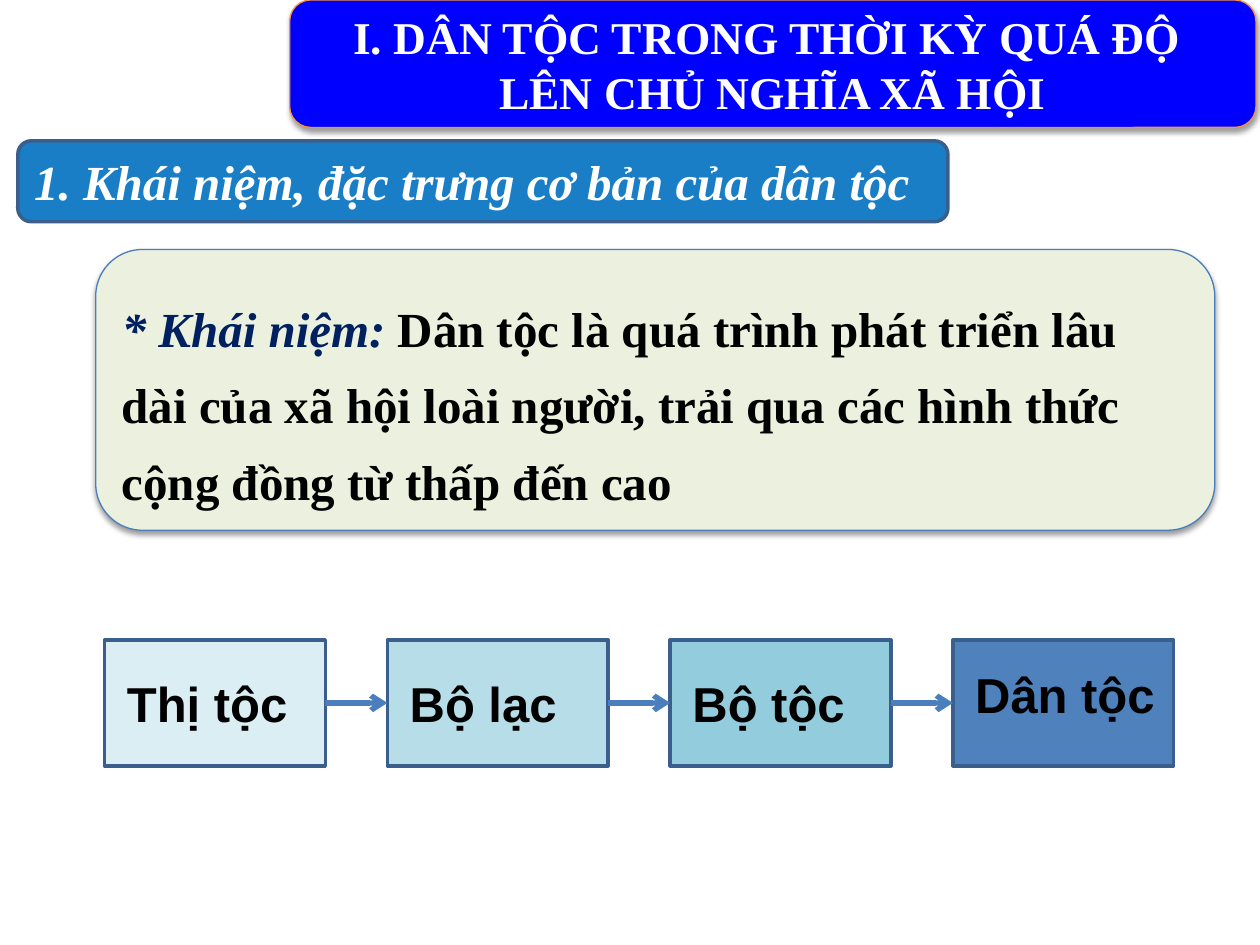
from lxml.etree import SubElement
from pptx import Presentation
from pptx.dml.color import RGBColor
from pptx.enum.shapes import MSO_CONNECTOR, MSO_SHAPE
from pptx.enum.text import MSO_ANCHOR, MSO_AUTO_SIZE, PP_ALIGN
from pptx.oxml.ns import qn
from pptx.util import Cm, Pt

HUE = {
    "title": "0000FF", "rim": "F69240", "head": "0070C0", "edge": "3A5F8C",
    "note": "EBF1DE", "line": "4B7EBC", "navy": "002060",
    "white": "FFFFFF", "black": "000000",
    "clan": "DBEEF4", "tribe": "B7DEE8", "folk": "93CDDD", "nation": "4F81BD",
}
TITLE = {"name": "Times New Roman", "size": Pt(26), "bold": True}
HEAD = {"name": "Times New Roman", "size": Pt(28), "bold": True, "italic": True}
BODY = {**HEAD, "italic": False}
LABEL = {"name": "Arial", "size": Pt(28), "bold": True}

# Stages: text, fill, label top, label width
STAGES = [
    ("Thị tộc", "clan", 13.46, 4.01),
    ("Bộ lạc", "tribe", 13.46, 4.01),
    ("Bộ tộc", "folk", 13.46, 4.01),
    ("Dân tộc", "nation", 13.28, 4.24),
]
LEFT, TOP, WIDE, HIGH, STEP = 2.11, 12.9, 4.45, 2.54, 5.7


def rgb(key):
    return RGBColor.from_string(HUE[key])


def apply(item, form):
    for key, value in form.items():
        setattr(item, key, value)


def box(slide, kind, area, fill, edge, width):
    shape = slide.shapes.add_shape(kind, *map(Cm, area))
    shape.shadow.inherit = False
    shape.fill.solid()
    shape.fill.fore_color.rgb = rgb(fill)
    shape.line.color.rgb = rgb(edge)
    shape.line.width = Pt(width)
    return shape


def fade(parent, key, alpha):
    color = parent.find(qn("a:srgbClr"))
    if color is None:
        color = SubElement(parent, qn("a:srgbClr"), val=HUE[key])
    SubElement(color, qn("a:alpha"), val=str(alpha * 1000))


def shade(shape):
    effects = shape._element.spPr.find(qn("a:effectLst"))
    outer = SubElement(effects, qn("a:outerShdw"), blurRad="40000",
                       dist="20000", dir="5400000", rotWithShape="0")
    fade(outer, "black", 38)


def write(shape, lines, **form):
    """Each line is a list of runs: text, font values, colour."""
    frame = shape.text_frame
    frame.word_wrap = True
    for i, runs in enumerate(lines):
        para = frame.add_paragraph() if i else frame.paragraphs[0]
        apply(para, {"alignment": PP_ALIGN.LEFT, **form})
        for text, font, color in runs:
            run = para.add_run()
            run.text = text
            apply(run.font, font)
            run.font.color.rgb = rgb(color)
    return frame


def label(slide, area, text):
    frame = write(slide.shapes.add_textbox(*map(Cm, area)),
                  [[(text, LABEL, "black")]])
    frame.auto_size = MSO_AUTO_SIZE.SHAPE_TO_FIT_TEXT


def arrow(slide, start, end):
    link = slide.shapes.add_connector(MSO_CONNECTOR.STRAIGHT, 0, 0, 0, 0)
    link.begin_connect(start, 3)
    link.end_connect(end, 1)
    link.line.color.rgb = rgb("line")
    link.line.width = Pt(3)
    SubElement(link.line._get_or_add_ln(), qn("a:tailEnd"), type="arrow")
    SubElement(link._element.spPr, qn("a:effectLst"))


def main():
    deck = Presentation()
    deck.slide_width, deck.slide_height = Cm(25.4), Cm(19.05)
    slide = deck.slides.add_slide(deck.slide_layouts[6])
    round_box = MSO_SHAPE.ROUNDED_RECTANGLE

    # Title
    title = box(slide, round_box, (5.84, 0, 19.48, 2.57), "title", "rim", 0.75)
    shade(title)
    write(title, [[("I. DÂN TỘC TRONG THỜI KỲ QUÁ ĐỘ ", TITLE, "white")],
                  [("LÊN CHỦ NGHĨA XÃ HỘI", TITLE, "white")]],
          alignment=PP_ALIGN.CENTER)

    # Section heading
    head = box(slide, round_box, (0.36, 2.84, 18.75, 1.63), "head", "edge", 2)
    fade(head._element.spPr.find(qn("a:solidFill")), "head", 90)
    write(head, [[("1. Khái niệm, đặc trưng cơ bản của dân tộc ", HEAD, "white")]],
          alignment=PP_ALIGN.JUSTIFY)

    # Definition
    note = box(slide, round_box, (1.93, 5.03, 22.56, 5.66), "note", "line", 0.75)
    shade(note)
    frame = write(note, [[
        ("* Khái niệm:", HEAD, "navy"),
        (" Dân tộc là quá trình phát triển lâu dài của xã hội loài người, "
         "trải qua các hình thức cộng đồng từ thấp đến cao", BODY, "black"),
    ]], line_spacing=1.3)
    apply(frame, {"vertical_anchor": MSO_ANCHOR.MIDDLE, "margin_top": Cm(0.34)})

    # Chain of stages
    last = None
    for i, (text, fill, top, width) in enumerate(STAGES):
        x = LEFT + i * STEP
        stage = box(slide, MSO_SHAPE.RECTANGLE, (x, TOP, WIDE, HIGH),
                    fill, "edge", 2)
        label(slide, (x + 0.2, top, width, 1.45), text)
        if last is not None:
            arrow(slide, last, stage)
        last = stage

    deck.save("out.pptx")


if __name__ == "__main__":
    main()
